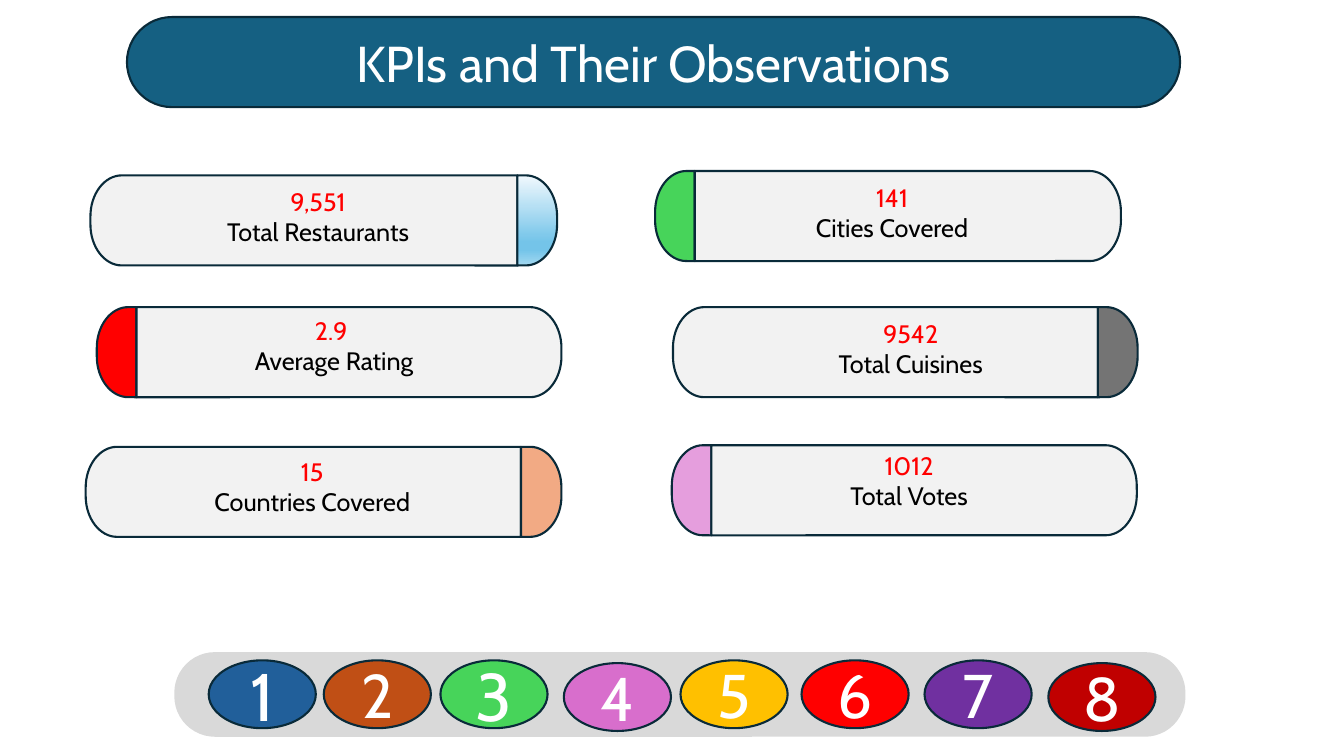
"""Build the KPI slide: a title bar, six KPI cards and a strip of numbered ovals."""
import pptx
import pptx.util
import pptx.dml.color
import pptx.enum.shapes
import pptx.enum.text
import pptx.oxml
import pptx.oxml.ns
from pptx.util import Cm, Pt

HUES = {
    "teal": "156082", "edge": "092A39", "strip": "D9D9D9", "card": "F2F2F2",
    "white": "FFFFFF", "black": "000000", "red": "FF0000", "green": "47D45A",
    "grey": "747474", "peach": "F2AA84", "lilac": "E59EDD", "blue": "215F9A",
    "rust": "C04F15", "pink": "D86ECC", "gold": "FFC000", "plum": "7030A0",
    "wine": "C00000", "sky": "74C4E9", "pale": "F0F8FD", "mist": "A2D8F0",
}
SKY = [(0, "pale"), (74, "sky"), (83, "sky"), (100, "mist")]
NS = 'xmlns:a="http://schemas.openxmlformats.org/drawingml/2006/main"'
KIND = pptx.enum.shapes.MSO_SHAPE
MIDDLE = pptx.enum.text.MSO_ANCHOR.MIDDLE
TALL, BENDX, BENDY, PULL = 2.27, 0.79, 1.03, 0.55


def paint(shape, fill, line="edge"):
    shape.shadow.inherit = False
    shape.fill.solid()
    shape.fill.fore_color.rgb = pptx.dml.color.RGBColor.from_string(HUES[fill])
    shape.line.color.rgb = pptx.dml.color.RGBColor.from_string(HUES[line])
    shape.line.width = Pt(1.5)


def write(para, text, size, hue):
    para.text = text
    para.alignment = pptx.enum.text.PP_ALIGN.CENTER
    para.font.name = "Cabin"
    para.font.size = Pt(size)
    para.font.color.rgb = pptx.dml.color.RGBColor.from_string(HUES[hue])


deck = pptx.Presentation()
deck.slide_width, deck.slide_height = Cm(33.87), Cm(19.05)
slide = deck.slides.add_slide(deck.slide_layouts[5])
shapes = slide.shapes

title = shapes.title
title.left, title.top, title.width, title.height = Cm(3.2), Cm(0.43), Cm(26.54), Cm(TALL)
title.text_frame.auto_size = pptx.enum.text.MSO_AUTO_SIZE.NONE
title.text_frame.vertical_anchor = MIDDLE
write(title.text_frame.paragraphs[0], "KPIs and Their Observations", 36, "white")

bar = shapes.add_shape(KIND.ROUNDED_RECTANGLE, title.left, title.top, title.width, title.height)
bar.adjustments[0] = 0.5
paint(bar, "teal")
title._element.addprevious(bar._element)

strip = shapes.add_shape(KIND.ROUNDED_RECTANGLE, Cm(4.42), Cm(16.46), Cm(25.43), Cm(2.08))
strip.adjustments[0] = 0.48
paint(strip, "strip", "strip")

ovals = [
    (5.26, 16.64, "blue", 48), (8.16, 16.64, "rust", 44),
    (11.1, 16.64, "green", 48), (14.21, 16.71, "pink", 44),
    (17.15, 16.64, "gold", 44), (20.2, 16.64, "red", 44),
    (23.3, 16.64, "plum", 44), (26.42, 16.71, "wine", 44),
]
for num, (left, top, hue, size) in enumerate(ovals, 1):
    oval = shapes.add_shape(KIND.OVAL, Cm(left), Cm(top), Cm(2.7), Cm(1.71))
    paint(oval, hue)
    oval.text_frame.vertical_anchor = MIDDLE
    write(oval.text_frame.paragraphs[0], str(num), size, "white")

cards = [
    (2.28, 13.04, 14.04, 4.42, "sky", 2.48, 4.57, 11.07, "9,551", "Total Restaurants"),
    (16.51, 17.51, 28.25, 4.31, "green", 18.72, 4.47, 7.52, "141", "Cities Covered"),
    (2.44, 3.44, 14.15, 7.74, "red", 3.63, 7.82, 9.58, "2.9 ", "Average Rating"),
    (16.96, 27.67, 28.67, 7.74, "grey", 19.84, 7.9, 6.22, "9542", "Total Cuisines"),
    (2.16, 13.13, 14.15, 11.26, "peach", 3.16, 11.37, 9.42, "15", "Countries Covered"),
    (16.93, 17.93, 28.65, 11.22, "lilac", 19.8, 11.22, 6.22, "1012", "Total Votes"),
]
for left, seam, right, top, hue, textx, texty, wide, value, label in cards:
    for tip, bend in ((left, BENDX), (right, -BENDX)):
        base, mid = top + TALL, tip + bend
        spots = [(mid, top), (tip, top + BENDY), (tip, base - BENDY), (mid, base), (seam, base)]
        pen = shapes.build_freeform(Cm(seam), Cm(top))
        pen.add_line_segments([(Cm(x), Cm(y)) for x, y in spots])
        part = pen.convert_to_shape()
        near = tip + bend * (1 - PULL)
        rise = BENDY * (1 - PULL)
        legs = part._element.findall(".//" + pptx.oxml.ns.qn("a:lnTo"))
        curves = [
            (legs[1], [(near, top), (tip, top + rise), spots[1]]),
            (legs[3], [(tip, base - rise), (near, base), spots[3]]),
        ]
        for leg, knots in curves:
            marks = "".join(
                f'<a:pt x="{Cm(x - min(tip, seam))}" y="{Cm(y - top)}"/>' for x, y in knots)
            curve = pptx.oxml.parse_xml(f"<a:cubicBezTo {NS}>{marks}</a:cubicBezTo>")
            leg.getparent().replace(leg, curve)
        body = abs(tip - seam) > 2
        paint(part, "card" if body else hue)
        if body:
            tint = part._element.spPr.find(pptx.oxml.ns.qn("a:solidFill"))[0]
            tint.append(pptx.oxml.parse_xml(f'<a:alpha {NS} val="98000"/>'))
        elif hue == "sky":
            part.fill.gradient()
            part.fill.gradient_angle = 270
            stops = part._element.spPr.find(".//" + pptx.oxml.ns.qn("a:gsLst"))
            for stop in list(stops):
                stops.remove(stop)
            for place, tone in SKY:
                stops.append(pptx.oxml.parse_xml(
                    f'<a:gs {NS} pos="{place * 1000}"><a:srgbClr val="{HUES[tone]}"/></a:gs>'))
    box = shapes.add_textbox(Cm(textx), Cm(texty), Cm(wide), Cm(1.98))
    box.text_frame.word_wrap = True
    write(box.text_frame.paragraphs[0], value, 18, "red")
    write(box.text_frame.add_paragraph(), label, 18, "black")

deck.save("out.pptx")
